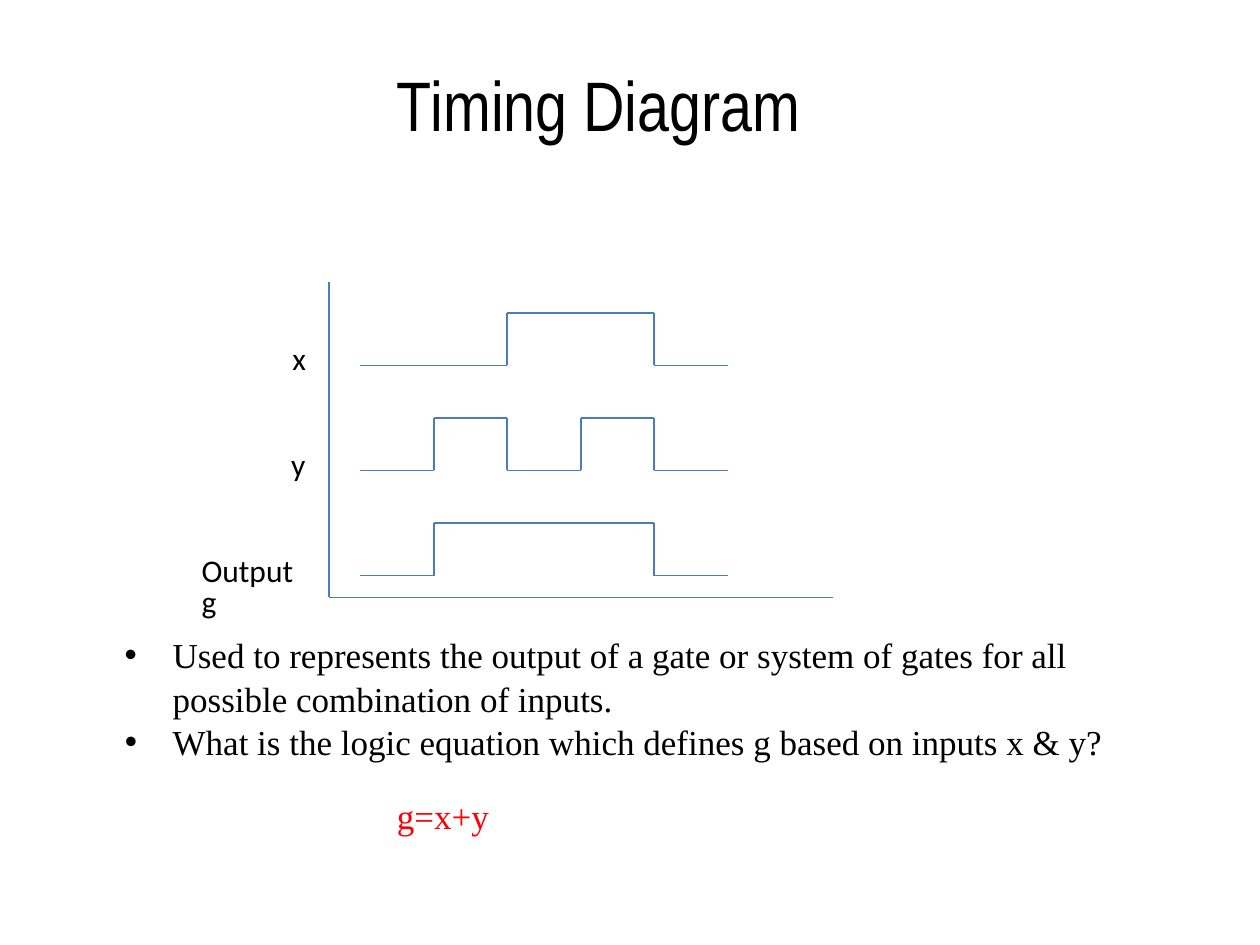
from lxml import etree
from pptx import Presentation
from pptx import util as u
from pptx.dml.color import RGBColor
from pptx.enum import shapes, text
from pptx.oxml.ns import qn

COLUMNS, ROWS = 100, 75          # slide grid
SLOT, LEVEL = 5.83, 4.17         # one time slot wide, one signal level high
WAVE_LEFT, FIRST_LOW = 28.6, 29.0
AXIS_LEFT, AXIS_TOP = 26.1, 22.4


def color(value):
    return RGBColor.from_string(value)


class Sheet:
    """Style and current slide; lengths are grid columns and rows."""
    ink, answer, wire = "000000", "FF0000", "4A7EBB"
    heading, label, body = "Arial Narrow", "Calibri", "Times New Roman"

    def __init__(self, deck):
        self.column = deck.slide_width / COLUMNS
        self.row = deck.slide_height / ROWS
        self.page = deck.slides.add_slide(deck.slide_layouts[6])

    def x(self, columns):
        return u.Emu(round(columns * self.column))

    def y(self, rows):
        return u.Emu(round(rows * self.row))

    def line(self, left, top, right, bottom):
        wire = self.page.shapes.add_connector(
            shapes.MSO_CONNECTOR.STRAIGHT,
            self.x(left), self.y(top), self.x(right), self.y(bottom))
        wire.line.color.rgb = color(self.wire)
        wire.line.width = u.Pt(1)
        etree.SubElement(wire._element.spPr, qn("a:effectLst"))

    def wave(self, levels, low):
        """Draw a signal given as one 0 or 1 per time slot."""
        heights = [low - LEVEL * int(level) for level in levels]
        edges = [WAVE_LEFT + SLOT * i for i in range(len(levels) + 1)]
        for i, height in enumerate(heights):
            self.line(edges[i], height, edges[i + 1], height)
            if i and heights[i - 1] != height:
                self.line(edges[i], heights[i - 1], edges[i], height)

    def words(self, content, place, font, size, spacing, ink=ink, bullet=False):
        left, top, width, height = place
        box = self.page.shapes.add_textbox(
            self.x(left), self.y(top), self.x(width), self.y(height))
        frame = box.text_frame
        frame.word_wrap = True
        frame.auto_size = text.MSO_AUTO_SIZE.NONE
        frame.margin_left = frame.margin_right = frame.margin_top = 0
        frame.margin_bottom = u.Inches(0.05)
        para = frame.paragraphs[0]
        para.line_spacing = spacing
        if bullet:
            props = para._p.get_or_add_pPr()
            indent = self.x(3.8)
            props.set("marL", str(indent))
            props.set("indent", str(-indent))
            etree.SubElement(props, qn("a:buFont"), typeface="Arial")
            etree.SubElement(props, qn("a:buChar"), char="•")
        span = para.add_run()
        span.text = content
        span.font.name = font
        span.font.size = u.Pt(size)
        span.font.color.rgb = color(ink)


def main():
    deck = Presentation()
    deck.slide_width, deck.slide_height = u.Inches(10), u.Inches(7.5)
    sheet = Sheet(deck)

    # Axes
    axis_bottom = AXIS_TOP + 6 * LEVEL
    sheet.line(AXIS_LEFT, AXIS_TOP, AXIS_LEFT, axis_bottom)
    sheet.line(AXIS_LEFT, axis_bottom, AXIS_LEFT + 40, axis_bottom)

    # Signals x, y and g, two levels apart
    for i, levels in enumerate(("00110", "01010", "01110")):
        sheet.wave(levels, FIRST_LOW + 2 * LEVEL * i)

    # Title
    sheet.words("Timing Diagram", (31.5, 8.5, 35.7, 4.3),
                sheet.heading, 40, u.Pt(22))

    # Signal labels
    for i, (name, left, width) in enumerate(
            (("x", 23.2, 1.2), ("y", 23.1, 1.2), ("Output g", 16, 8.5))):
        sheet.words(name, (left, 27.4 + 8.4 * i, width, 2.5),
                    sheet.label, 18, u.Pt(18))

    # Explanation, question and answer
    sheet.words("Used to represents the output of a gate or system of gates "
                "for all possible combination of inputs.",
                (9.9, 50.1, 84.4, 7.2), sheet.body, 20, 1.05, bullet=True)
    sheet.words("What is the logic equation which defines g based on inputs "
                "x & y?", (9.9, 58.3, 78.1, 2.7),
                sheet.body, 20, u.Pt(16), bullet=True)
    sheet.words("g=x+y", (31.5, 64.2, 7.6, 2.8),
                sheet.body, 20, u.Pt(16), ink=sheet.answer)

    deck.save("out.pptx")


if __name__ == "__main__":
    main()
